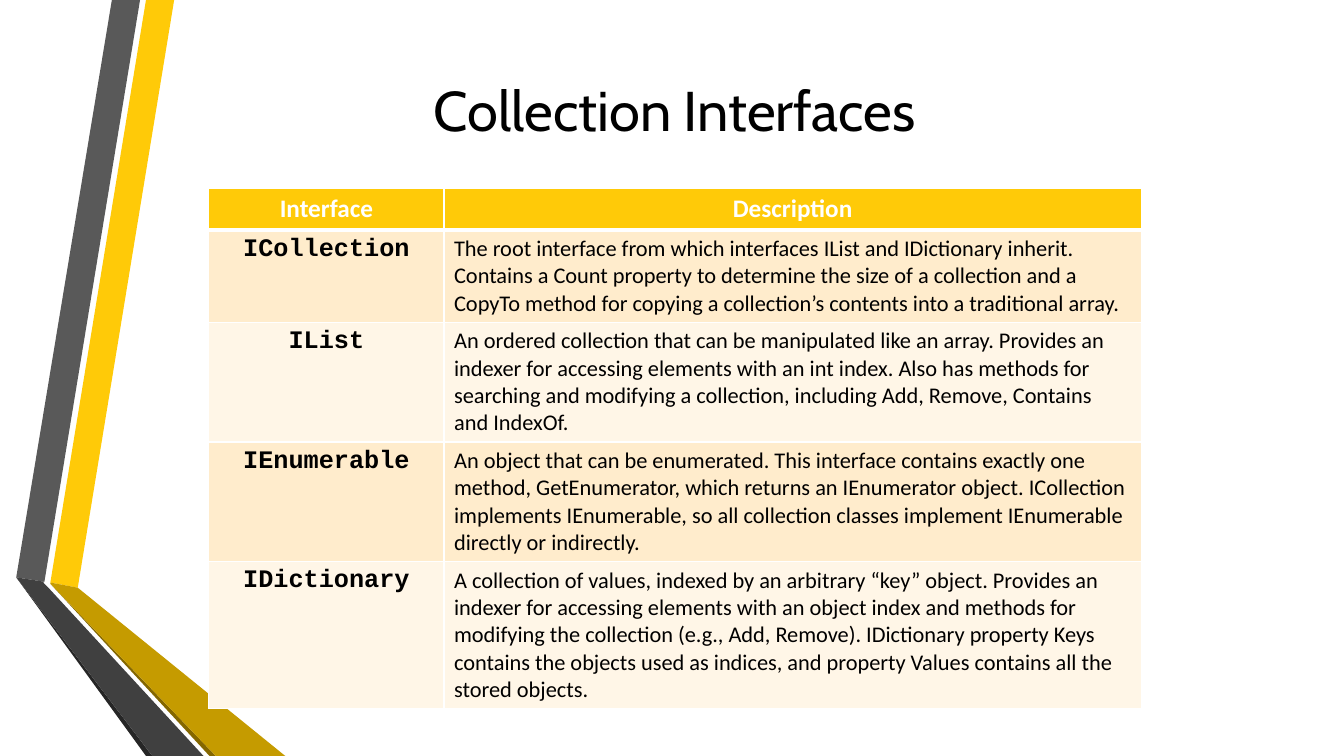
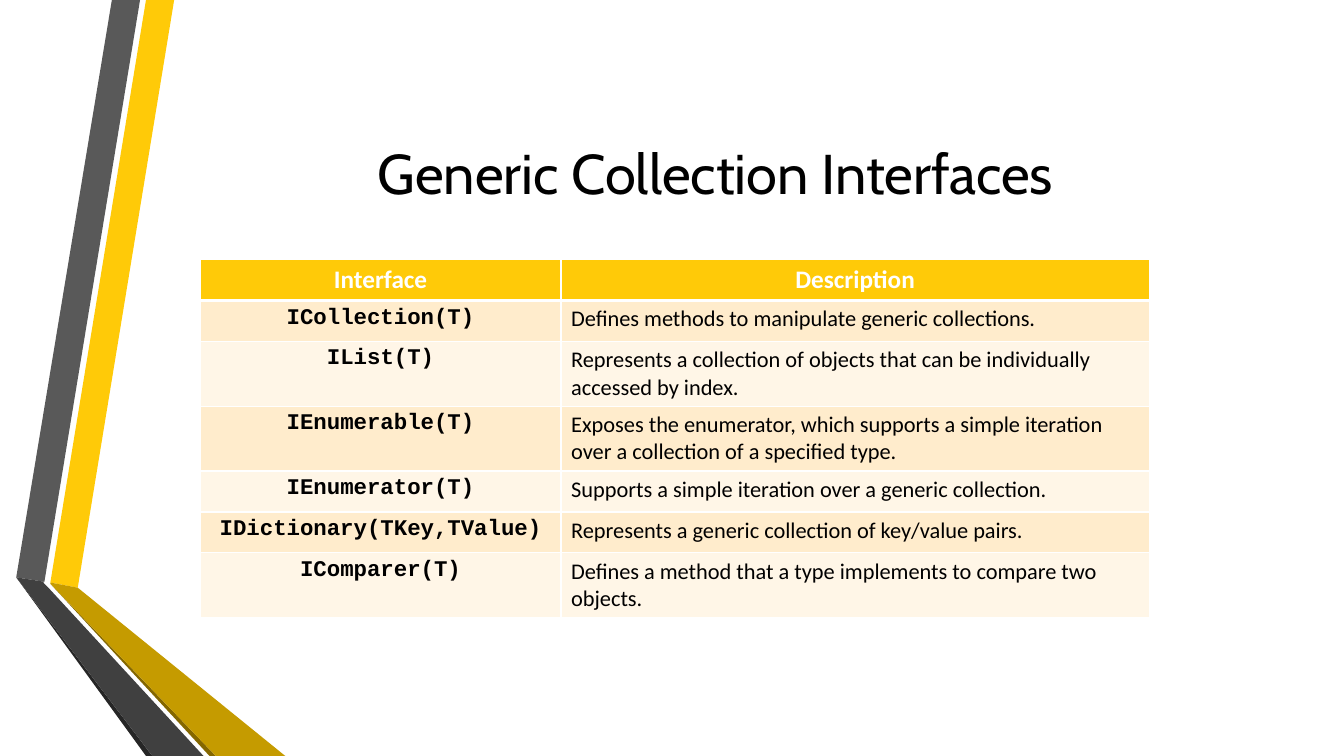
from lxml.etree import SubElement
from pptx import Presentation
from pptx.dml.color import RGBColor
from pptx.enum.text import MSO_ANCHOR, MSO_AUTO_SIZE, PP_ALIGN
from pptx.oxml.ns import qn
from pptx.util import Cm, Pt

WIDTH, HEIGHT = 33.87, 19.05

# Ribbon pieces: colour and outline in cm, back to front
RIBBONS = [
    ("FFCA08", [(1.27, 14.68), (1.96, 14.81), (4.39, 0), (3.68, 0)]),
    ("595959", [(3.53, 0), (2.82, 0), (0.41, 14.55), (1.12, 14.66)]),
    ("262626", [(0.41, 14.55), (3.68, HEIGHT), (3.84, HEIGHT)]),
    ("846700", [(1.27, 14.71), (5.28, HEIGHT), (5.44, HEIGHT)]),
    ("C59B00", [(1.27, 14.68), (1.27, 14.71), (5.44, HEIGHT),
                (7.19, HEIGHT), (1.96, 14.81)]),
    ("404040", [(5.13, HEIGHT), (1.22, 14.81), (1.09, 14.68),
                (1.12, 14.66), (0.41, 14.55), (3.84, HEIGHT)]),
]

COLLECTIONS = [
    ("ICollection",
     "The root interface from which interfaces IList and IDictionary inherit. "
     "Contains a Count property to determine the size of a collection and a "
     "CopyTo method for copying a collection’s contents into a traditional array."),
    ("IList",
     "An ordered collection that can be manipulated like an array. Provides an "
     "indexer for accessing elements with an int index. Also has methods for "
     "searching and modifying a collection, including Add, Remove, Contains "
     "and IndexOf."),
    ("IEnumerable",
     "An object that can be enumerated. This interface contains exactly one "
     "method, GetEnumerator, which returns an IEnumerator object. ICollection "
     "implements IEnumerable, so all collection classes implement IEnumerable "
     "directly or indirectly."),
    ("IDictionary",
     "A collection of values, indexed by an arbitrary “key” object. Provides an "
     "indexer for accessing elements with an object index and methods for "
     "modifying the collection (e.g., Add, Remove). IDictionary property Keys "
     "contains the objects used as indices, and property Values contains all "
     "the stored objects."),
]

GENERICS = [
    ("ICollection(T)", "Defines methods to manipulate generic collections."),
    ("IList(T)", "Represents a collection of objects that can be individually "
                 "accessed by index."),
    ("IEnumerable(T)", "Exposes the enumerator, which supports a simple iteration "
                       "over a collection of a specified type."),
    ("IEnumerator(T)", "Supports a simple iteration over a generic collection."),
    ("IDictionary(TKey,TValue)",
     "Represents a generic collection of key/value pairs."),
    ("IComparer(T)", "Defines a method that a type implements to compare two "
                     "objects."),
]


def rgb(color):
    return RGBColor.from_string(color)


class Deck:
    TITLE_FONT, TEXT_FONT, CODE_FONT = "Cabin", "Calibri", "Courier New"
    TEXT, RULE, HEADER = "000000", "FFFFFF", "FFCA08"
    BANDS = ["FFECCC", "FFF6E7"]
    HEADINGS = ("Interface", "Description")

    def __init__(self):
        self.prs = Presentation()
        self.prs.slide_width, self.prs.slide_height = Cm(WIDTH), Cm(HEIGHT)

    def add_slide(self, title, box):
        self.s = self.prs.slides.add_slide(self.prs.slide_layouts[5])
        for color, points in RIBBONS:
            self.ribbon(color, points)
        self.title(title, box)

    def ribbon(self, color, points):
        start, *rest = [(Cm(x), Cm(y)) for x, y in points]
        builder = self.s.shapes.build_freeform(*start)
        builder.add_line_segments(rest, close=True)
        sp = builder.convert_to_shape()
        sp.shadow.inherit = False
        sp.fill.solid()
        sp.fill.fore_color.rgb = rgb(color)
        sp.line.fill.background()

    def title(self, text, box):
        sp = self.s.shapes.title
        sp.left, sp.top, sp.width, sp.height = map(Cm, box)
        tf = sp.text_frame
        tf.text = text
        tf.auto_size = MSO_AUTO_SIZE.NONE
        tf.vertical_anchor = MSO_ANCHOR.MIDDLE
        self.style(tf.paragraphs[0], self.TITLE_FONT, 40, self.TEXT, center=True)

    def style(self, p, font, size, color, bold=False, center=False):
        p.alignment = PP_ALIGN.CENTER if center else PP_ALIGN.LEFT
        p.font.name, p.font.size, p.font.bold = font, Pt(size), bold
        p.font.color.rgb = rgb(color)

    def cell(self, cell, text, fill, top=1, bottom=1, **font):
        cell.text = text
        self.style(cell.text_frame.paragraphs[0], **font)
        self.borders(cell, top, bottom)
        cell.fill.solid()
        cell.fill.fore_color.rgb = rgb(fill)

    def borders(self, cell, top, bottom):
        tc_pr = cell._tc.get_or_add_tcPr()
        for side, width in (("L", 1), ("R", 1), ("T", top), ("B", bottom)):
            ln = SubElement(tc_pr, qn("a:ln" + side), w=str(Pt(width)))
            fill = SubElement(ln, qn("a:solidFill"))
            SubElement(fill, qn("a:srgbClr"), val=self.RULE)

    def table(self, left, top, widths, heights, rows, code_size):
        frame = self.s.shapes.add_table(
            len(heights), len(widths), Cm(left), Cm(top),
            Cm(sum(widths)), Cm(sum(heights)))
        table = frame.table
        for column, width in zip(table.columns, widths):
            column.width = Cm(width)
        for row, height in zip(table.rows, heights):
            row.height = Cm(height)

        # Header row
        for col, heading in enumerate(self.HEADINGS):
            self.cell(table.cell(0, col), heading, self.HEADER, bottom=3,
                      font=self.TEXT_FONT, size=18, color=self.RULE,
                      bold=True, center=True)

        # Banded body rows
        for i, (name, description) in enumerate(rows, start=1):
            look = dict(fill=self.BANDS[(i - 1) % 2], top=3 if i == 1 else 1,
                        color=self.TEXT)
            self.cell(table.cell(i, 0), name, font=self.CODE_FONT,
                      size=code_size, bold=True, center=True, **look)
            self.cell(table.cell(i, 1), description, font=self.TEXT_FONT,
                      size=16, **look)


def main():
    deck = Deck()

    # Collection interfaces
    deck.add_slide("Collection Interfaces", (6.53, 0.74, 20.95, 4.04))
    deck.table(5.26, 4.76, [5.93, 17.57], [1.04, 2.29, 2.97, 2.97, 3.63],
               COLLECTIONS, code_size=18)

    # Generic collection interfaces
    deck.add_slide("Generic Collection Interfaces", (4.11, 1.9, 27.84, 4.88))
    one, two = 1.03, 1.62
    deck.table(5.04, 6.54, [9.1, 14.82], [one, one, two, two, one, one, two],
               GENERICS, code_size=16)

    deck.prs.save("out.pptx")


if __name__ == "__main__":
    main()
